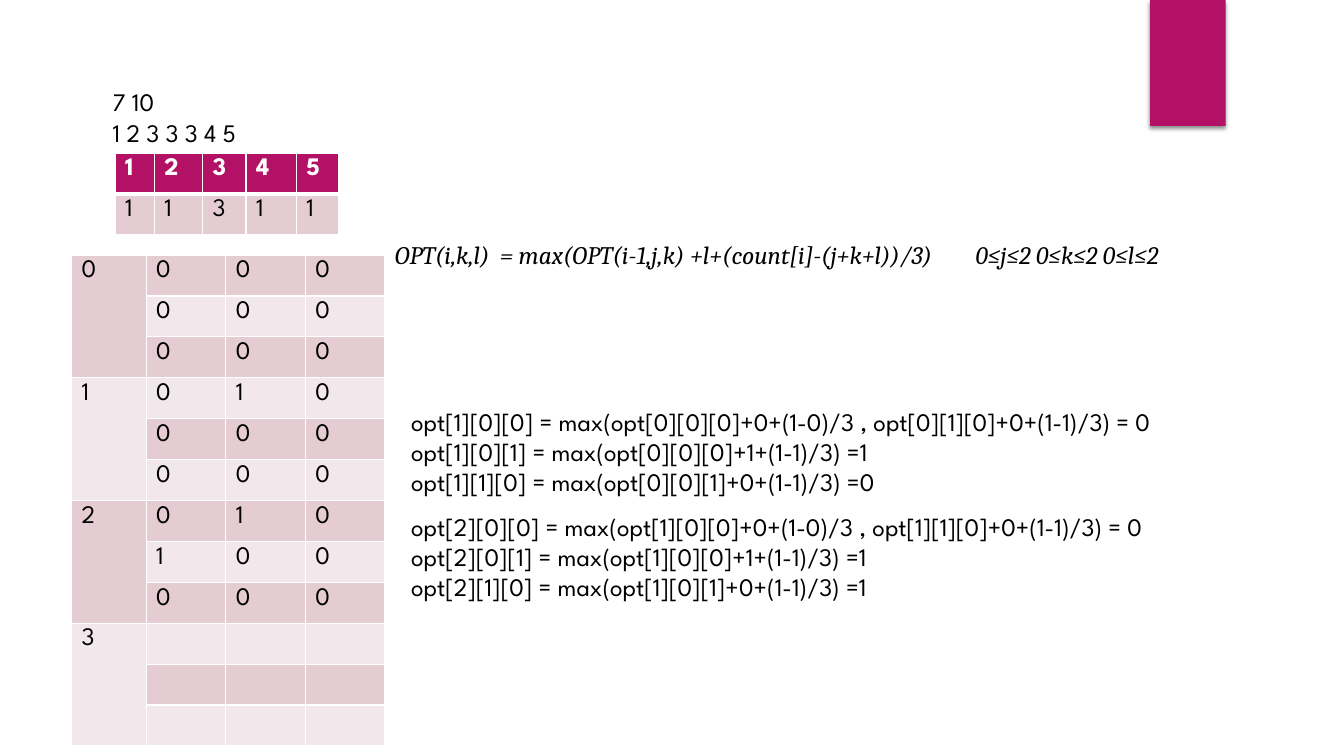
from dataclasses import dataclass

import lxml.etree
import pptx
import pptx.dml.color
import pptx.enum.shapes
import pptx.oxml
import pptx.oxml.ns
import pptx.util

COLORS = {
    "accent": "B31166",
    "band_dark": "E5CCD3",
    "band_light": "F2E7EA",
    "white": "FFFFFF",
    "black": "000000",
}
SANS, MATH = "League Spartan", "Cambria"
GRID = 0.1  # inches in one grid column or row
TABLE_ROW = 4.06
GROUP = 3  # table rows sharing one index
qn = pptx.oxml.ns.qn


@dataclass
class TextBlock:
    left: float
    top: float
    width: float
    height: float
    lines: list[str]
    font: str = SANS
    italic: bool = False
    wrap: bool = True
    tabs: tuple[float, ...] = ()


@dataclass
class Table:
    left: float
    top: float
    columns: list[float]
    rows: list[list[str]]
    header: bool = False


TEXTS = [
    TextBlock(10.2, 8.1, 16, 7.1, ["7 10", "1 2 3 3 3 4 5"], wrap=False),
    TextBlock(39.8, 39.8, 86.5, 10.1, [
        "opt[1][0][0] = max(opt[0][0][0]+0+(1-0)/3 , opt[0][1][0]+0+(1-1)/3) = 0",
        "opt[1][0][1] = max(opt[0][0][0]+1+(1-1)/3) =1",
        "opt[1][1][0] = max(opt[0][0][1]+0+(1-1)/3) =0",
    ]),
    TextBlock(38.2, 23.3, 91.1, 4, [
        "OPT(i,k,l)\t= max(OPT(i-1,j,k) +l+(count[i]-(j+k+l))/3)\t0≤j≤2 0≤k≤2 0≤l≤2",
    ], font=MATH, italic=True, tabs=(10.4, 57.6)),
    TextBlock(39.8, 50.2, 86.5, 10.1, [
        "opt[2][0][0] = max(opt[1][0][0]+0+(1-0)/3 , opt[1][1][0]+0+(1-1)/3) = 0",
        "opt[2][0][1] = max(opt[1][0][0]+1+(1-1)/3) =1",
        "opt[2][1][0] = max(opt[1][0][1]+0+(1-1)/3) =1",
    ]),
]

COUNTS = Table(11.4, 15.2, [3.9, 4.8, 4.3, 5, 4.2], [list("12345"), list("11311")], header=True)

# Three rows of values for each index; the last index is still empty
OPT_VALUES = ["000", "000", "000", "010", "000", "000", "010", "100", "000"] + [""] * GROUP
OPT = Table(7.1, 25.3, [7.4, 7.9, 7.9, 7.9], [
    [str(i // GROUP) if i % GROUP == 0 else "", *(values or [""] * 3)]
    for i, values in enumerate(OPT_VALUES)
])


def grid(cells: float) -> int:
    return pptx.util.Inches(cells * GRID)


def rgb(name: str) -> pptx.dml.color.RGBColor:
    return pptx.dml.color.RGBColor.from_string(COLORS[name])


def add_run(p, text: str, font: str = SANS, color: str = "black",
            bold: bool = False, italic: bool = False) -> None:
    r = p.add_run()
    r.text = text
    r.font.name, r.font.size = font, pptx.util.Pt(18)
    r.font.bold, r.font.italic = bold, italic
    r.font.color.rgb = rgb(color)


def add_tabs(p, stops: tuple[float, ...]) -> None:
    tab_list = lxml.etree.SubElement(p._p.get_or_add_pPr(), qn("a:tabLst"))
    for stop in stops:
        lxml.etree.SubElement(tab_list, qn("a:tab"), pos=str(grid(stop)), algn="l")


def add_text(s, block: TextBlock) -> None:
    sp = s.shapes.add_textbox(grid(block.left), grid(block.top), grid(block.width), grid(block.height))
    tf = sp.text_frame
    tf.word_wrap = block.wrap
    for i, line in enumerate(block.lines):
        p = tf.add_paragraph() if i else tf.paragraphs[0]
        if block.tabs:
            add_tabs(p, block.tabs)
        add_run(p, line, block.font, italic=block.italic)


def set_borders(cell, top: float, bottom: float) -> None:
    tc_pr = cell._tc.get_or_add_tcPr()
    for side, width in (("L", 1), ("R", 1), ("T", top), ("B", bottom)):
        line = lxml.etree.SubElement(tc_pr, qn(f"a:ln{side}"), w=str(pptx.util.Pt(width)))
        fill = lxml.etree.SubElement(line, qn("a:solidFill"))
        lxml.etree.SubElement(fill, qn("a:srgbClr"), val=COLORS["white"])


def add_table(s, data: Table):
    count = len(data.rows)
    frame = s.shapes.add_table(count, len(data.columns), grid(data.left), grid(data.top),
                               grid(sum(data.columns)), grid(TABLE_ROW * count))
    table = frame.table
    table.first_row = data.header
    for column, width in zip(table.columns, data.columns):
        column.width = grid(width)
    for i, row in enumerate(data.rows):
        table.rows[i].height = grid(TABLE_ROW)
        is_header = data.header and i == 0
        band = "band_dark" if (i - data.header) % 2 == 0 else "band_light"
        for j, text in enumerate(row):
            cell = table.cell(i, j)
            set_borders(cell, top=3 if data.header and i == 1 else 1, bottom=3 if is_header else 1)
            cell.fill.solid()
            cell.fill.fore_color.rgb = rgb("accent" if is_header else band)
            p = cell.text_frame.paragraphs[0]
            p.font.size = pptx.util.Pt(18)
            if text:
                add_run(p, text, color="white" if is_header else "black", bold=is_header)
    return table


def add_accent(s) -> None:
    sp = s.shapes.add_shape(pptx.enum.shapes.MSO_SHAPE.RECTANGLE,
                            grid(114.1), 0, grid(7.5), grid(12.5))
    sp.fill.solid()
    sp.fill.fore_color.rgb = rgb("accent")
    sp.line.fill.background()
    sp.shadow.inherit = False
    effects = sp._element.spPr.find(qn("a:effectLst"))
    shadow = lxml.etree.SubElement(
        effects, qn("a:outerShdw"), blurRad=str(pptx.util.Pt(3)), dist=str(pptx.util.Pt(2)),
        dir="5400000", rotWithShape="0")
    color = lxml.etree.SubElement(shadow, qn("a:srgbClr"), val=COLORS["black"])
    lxml.etree.SubElement(color, qn("a:alpha"), val="45000")


def main() -> None:
    prs = pptx.Presentation()
    prs.slide_width, prs.slide_height = grid(133.33), grid(75)
    s = prs.slides.add_slide(prs.slide_layouts[6])

    # Corner block
    add_accent(s)

    # Count of each number
    add_table(s, COUNTS)

    # Optimum values, with one merged index cell per group
    opt = add_table(s, OPT)
    for first in range(0, len(OPT.rows), GROUP):
        opt.cell(first, 0).merge(opt.cell(first + GROUP - 1, 0))

    # Input, recurrence and worked steps
    for block in TEXTS:
        add_text(s, block)

    prs.save("out.pptx")


if __name__ == "__main__":
    main()
